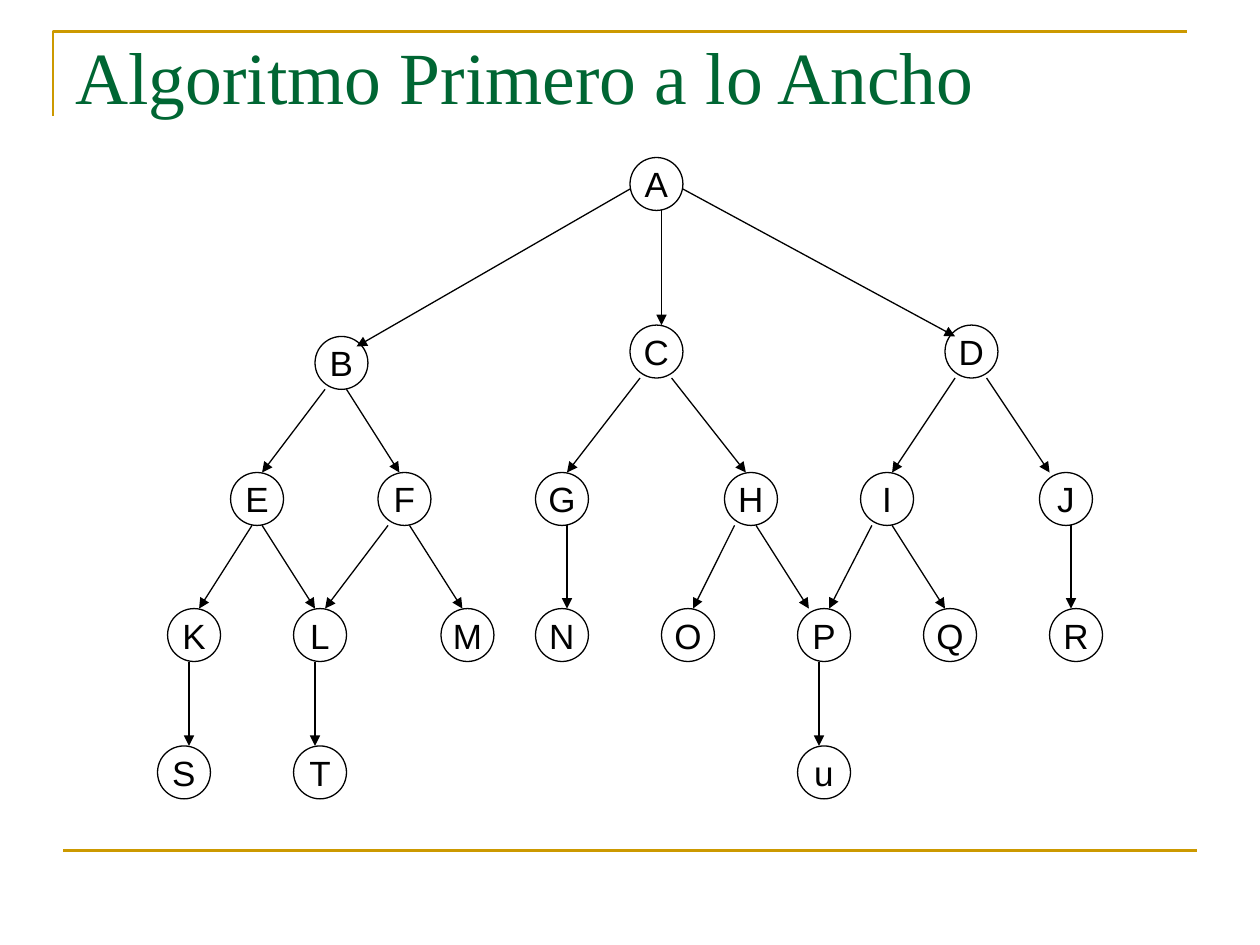
"""Build a slide showing a breadth-first search tree."""
from lxml import etree
from pptx import Presentation
from pptx import util as u
from pptx.dml.color import RGBColor
from pptx.enum import shapes, text
from pptx.oxml.ns import qn

COLORS = {"gold": "CC9900", "green": "006633", "black": "000000", "white": "FFFFFF"}
NODE_SIZE = 0.42
LEVELS = [
    (1.25, {"A": 5}),
    (2.58, {"C": 5, "D": 7.5}),
    (2.67, {"B": 2.5}),
    (3.75, {"E": 1.83, "F": 3, "G": 4.25, "H": 5.75, "I": 6.83, "J": 8.25}),
    (4.83, {"K": 1.33, "L": 2.33, "M": 3.5, "N": 4.25,
            "O": 5.25, "P": 6.33, "Q": 7.33, "R": 8.33}),
    (5.92, {"S": 1.25, "T": 2.33, "u": 6.33}),
]
SIDE_EDGES = [((5, 1.5), (2.83, 2.75)), ((5.42, 1.5), (7.58, 2.67))]
EDGES = {
    "AC": (5.25, 5.25),
    "BE": (2.58, 2.08), "BF": (2.75, 3.17),
    "CG": (5.08, 4.5), "CH": (5.33, 5.92),
    "DI": (7.58, 7.08), "DJ": (7.83, 8.33),
    "EK": (2, 1.58), "EL": (2.08, 2.5),
    "FL": (3.08, 2.58), "FM": (3.25, 3.67),
    "GN": (4.5, 4.5),
    "HO": (5.83, 5.5), "HP": (6, 6.42),
    "IP": (6.92, 6.58), "IQ": (7.08, 7.5),
    "JR": (8.5, 8.5),
    "KS": (1.5, 1.5), "LT": (2.5, 2.5), "Pu": (6.5, 6.5),
}


class TreeSlide:
    """Hold the style and the current slide."""

    def __init__(self, slide):
        self.slide = slide

    def color(self, name):
        return RGBColor.from_string(COLORS[name])

    def outline(self, shape, color, width):
        shape.line.color.rgb = self.color(color)
        shape.line.width = u.Pt(width)

    def label(self, shape, words, font, size, color):
        shape.text_frame.text = words
        paragraph = shape.text_frame.paragraphs[0]
        style = paragraph.runs[0].font
        style.name, style.size = font, u.Pt(size)
        style.color.rgb = self.color(color)
        return paragraph

    def corner(self, points):
        start, *others = [(u.Inches(x), u.Inches(y)) for x, y in points]
        builder = self.slide.shapes.build_freeform(*start)
        builder.add_line_segments(others, close=False)
        shape = builder.convert_to_shape()
        shape.shadow.inherit = False
        shape.fill.background()
        self.outline(shape, "gold", 1.5)

    def title(self, words):
        box = self.slide.shapes.add_textbox(
            u.Inches(0.5), u.Inches(0.3), u.Inches(8.99), u.Inches(1.24))
        box.text_frame.word_wrap = True
        paragraph = self.label(box, words, "Times New Roman", 42, "green")
        paragraph.line_spacing = 0.86

    def node(self, letter, left, top):
        shape = self.slide.shapes.add_shape(
            shapes.MSO_SHAPE.OVAL, *map(u.Inches, (left, top, NODE_SIZE, NODE_SIZE)))
        shape.shadow.inherit = False
        shape.fill.solid()
        shape.fill.fore_color.rgb = self.color("white")
        self.outline(shape, "black", 0.75)
        shape.text_frame.word_wrap = False
        shape.text_frame.vertical_anchor = text.MSO_ANCHOR.MIDDLE
        paragraph = self.label(shape, letter, "Arial", 20, "black")
        paragraph.alignment = text.PP_ALIGN.CENTER

    def line(self, start, end, color="black", width=0.75):
        connector = self.slide.shapes.add_connector(
            shapes.MSO_CONNECTOR.STRAIGHT, *map(u.Inches, (*start, *end)))
        self.outline(connector, color, width)
        etree.SubElement(connector._element.spPr, qn("a:effectLst"))
        return connector

    def arrow(self, start, end):
        connector = self.line(start, end)
        line = connector._element.spPr.find(qn("a:ln"))
        etree.SubElement(line, qn("a:tailEnd"), type="triangle")


def main():
    presentation = Presentation()
    presentation.slide_width, presentation.slide_height = u.Inches(10), u.Inches(7.5)
    tree = TreeSlide(presentation.slides.add_slide(presentation.slide_layouts[6]))
    tree.corner([(0.42, 0.92), (0.42, 0.25), (9.42, 0.25)])
    tree.line((0.5, 6.75), (9.5, 6.75), "gold", 1.5)
    tree.title("Algoritmo Primero a lo Ancho")

    tops = {}
    for top, nodes in LEVELS:
        for letter, left in nodes.items():
            tops[letter] = top
            tree.node(letter, left, top)
    for start, end in SIDE_EDGES:
        tree.arrow(start, end)
    for (parent, child), (start_x, end_x) in EDGES.items():
        tree.arrow((start_x, tops[parent] + NODE_SIZE), (end_x, tops[child]))
    presentation.save("out.pptx")


if __name__ == "__main__":
    main()
